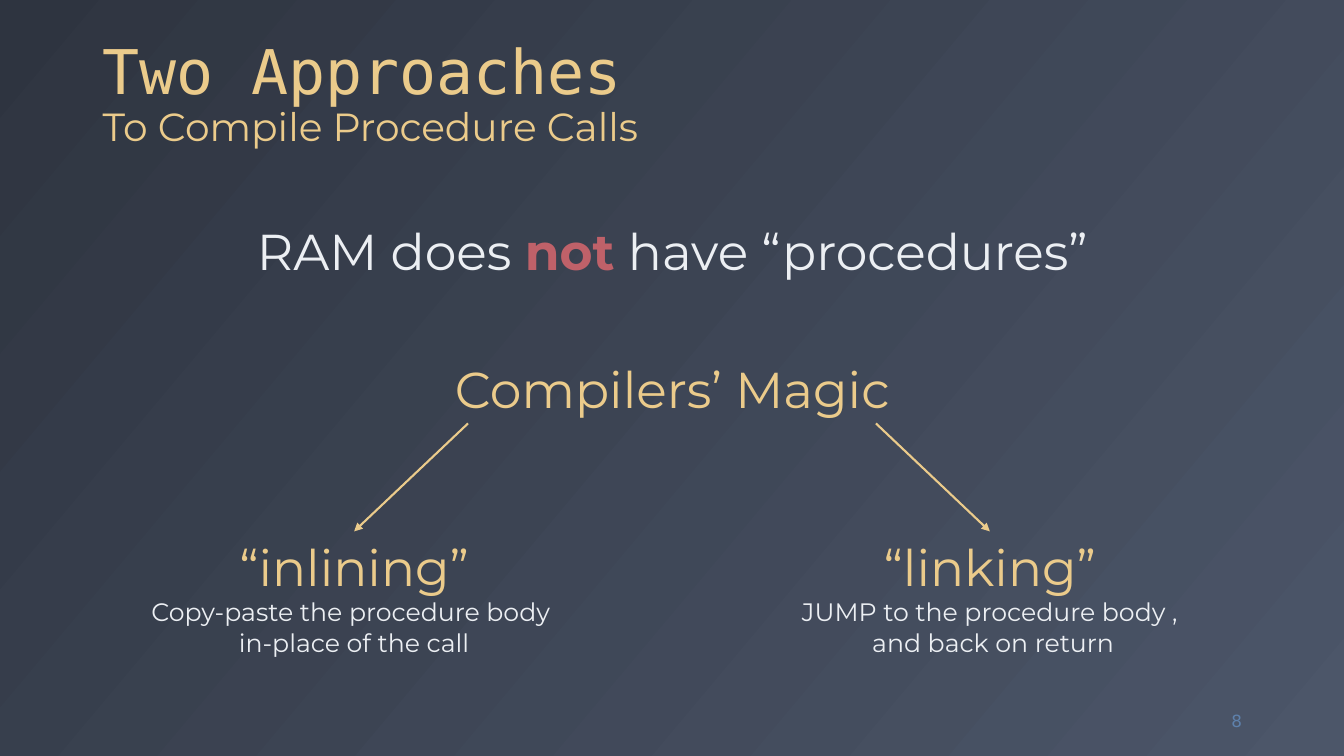
"""Builds a slide on the two approaches to compiling procedure calls."""
from lxml import etree
from pptx import Presentation
from pptx import util as u
from pptx.dml.color import RGBColor
from pptx.enum import shapes, text
from pptx.oxml.ns import qn

COLOURS = {"night": "2E3440", "slate": "4C5669", "gold": "EBCB8B",
           "snow": "ECEFF3", "red": "BF6169", "blue": "5E81AC"}
STYLES = {
    "title": {"size": 44, "name": "DejaVu Sans Mono", "colour": "gold"},
    "subtitle": {"size": 28, "name": "Montserrat", "colour": "gold"},
    "statement": {"size": 36, "name": "Montserrat", "colour": "snow"},
    "stress": {"size": 36, "name": "Montserrat", "colour": "red", "bold": True},
    "term": {"size": 36, "name": "Montserrat", "colour": "gold"},
    "detail": {"size": 18, "name": "Montserrat", "colour": "snow"},
    "number": {"size": 12, "name": "DejaVu Sans", "colour": "blue"},
}
BREAK = None
HEADING = [[("Two Approaches", "title"), BREAK,
            ("To Compile Procedure Calls", "subtitle")]]
MESSAGE = [[("RAM does ", "statement"), ("not", "stress"),
            (" have “procedures”", "statement")],
           [("Compilers’ Magic", "term")]]
NUMBER = [[("8", "number")]]
BRANCHES = [
    (-1, 10.92, "“inlining”", "Copy-paste the procedure body ", "in-place of the call"),
    (1, 10.11, "“linking”", "JUMP to the procedure body ,", " and back on return"),
]

WIDTH, HEIGHT = 33.87, 19.05
MIDDLE = WIDTH / 2
MARGIN, CONTENT_WIDTH = 2.34, 29.21
ARROW_TOP, BRANCH_TOP, BRANCH_HEIGHT = 10.67, 13.39, 3.33
ARROW_OFFSET, BRANCH_OFFSET = 5.14, 8.01
LEFT, CENTER, RIGHT = text.PP_ALIGN.LEFT, text.PP_ALIGN.CENTER, text.PP_ALIGN.RIGHT
TOP, CENTRED, BOTTOM = text.MSO_ANCHOR.TOP, text.MSO_ANCHOR.MIDDLE, text.MSO_ANCHOR.BOTTOM


def colour(name):
    return RGBColor.from_string(COLOURS[name])


def add_span(para, words, style):
    span = para.add_run()
    span.text = words
    for key, value in STYLES[style].items():
        if key == "colour":
            span.font.color.rgb = colour(value)
        else:
            setattr(span.font, key, u.Pt(value) if key == "size" else value)


def add_text(page, place, paragraphs, align=LEFT, anchor=TOP, wrap=True,
             spacing=1.0, before=()):
    box = page.shapes.add_textbox(*map(u.Cm, place))
    frame = box.text_frame
    for key, value in {"word_wrap": wrap, "vertical_anchor": anchor}.items():
        setattr(frame, key, value)
    for index, spans in enumerate(paragraphs):
        para = frame.paragraphs[0] if index == 0 else frame.add_paragraph()
        gap = u.Pt(before[index]) if before else u.Pt(0)
        for key, value in {"alignment": align, "line_spacing": spacing,
                           "space_before": gap}.items():
            setattr(para, key, value)
        for item in spans:
            if item is BREAK:
                para.add_line_break()
            else:
                add_span(para, *item)
    return box


def add_arrow(page, start, end):
    arrow = page.shapes.add_connector(shapes.MSO_CONNECTOR.STRAIGHT,
                                      *map(u.Cm, start + end))
    arrow.line.color.rgb = colour("gold")
    arrow.line.width = u.Pt(1.5)
    etree.SubElement(arrow.line._get_or_add_ln(), qn("a:tailEnd"), type="triangle")
    etree.SubElement(arrow._element.spPr, qn("a:effectLst"))


def add_branch(page, side, width, term, first, second):
    centre = MIDDLE + side * BRANCH_OFFSET
    box = add_text(page, (centre - width / 2, BRANCH_TOP, width, BRANCH_HEIGHT),
                   [[(term, "term"), BREAK, (first, "detail")], [(second, "detail")]],
                   align=CENTER, wrap=False)
    box.text_frame.auto_size = text.MSO_AUTO_SIZE.SHAPE_TO_FIT_TEXT
    add_arrow(page, (MIDDLE + side * ARROW_OFFSET, ARROW_TOP), (centre, BRANCH_TOP))


def main():
    deck = Presentation()
    deck.slide_width, deck.slide_height = u.Cm(WIDTH), u.Cm(HEIGHT)
    page = deck.slides.add_slide(deck.slide_layouts[6])
    fill = page.background.fill
    fill.gradient()
    fill.gradient_angle = 320
    for stop, name in zip(fill.gradient_stops, ("night", "slate")):
        stop.color.rgb = colour(name)

    add_text(page, (MARGIN, 0.46, CONTENT_WIDTH, 3.45), HEADING,
             anchor=BOTTOM, spacing=0.9)
    add_text(page, (MARGIN, 5.59, CONTENT_WIDTH, 7.16), MESSAGE,
             align=CENTER, spacing=0.9, before=(10, 59.5))
    add_text(page, (29.44, 17.65, 2.11, 1.02), NUMBER, align=RIGHT, anchor=CENTRED)
    for branch in BRANCHES:
        add_branch(page, *branch)
    deck.save("out.pptx")


if __name__ == "__main__":
    main()
